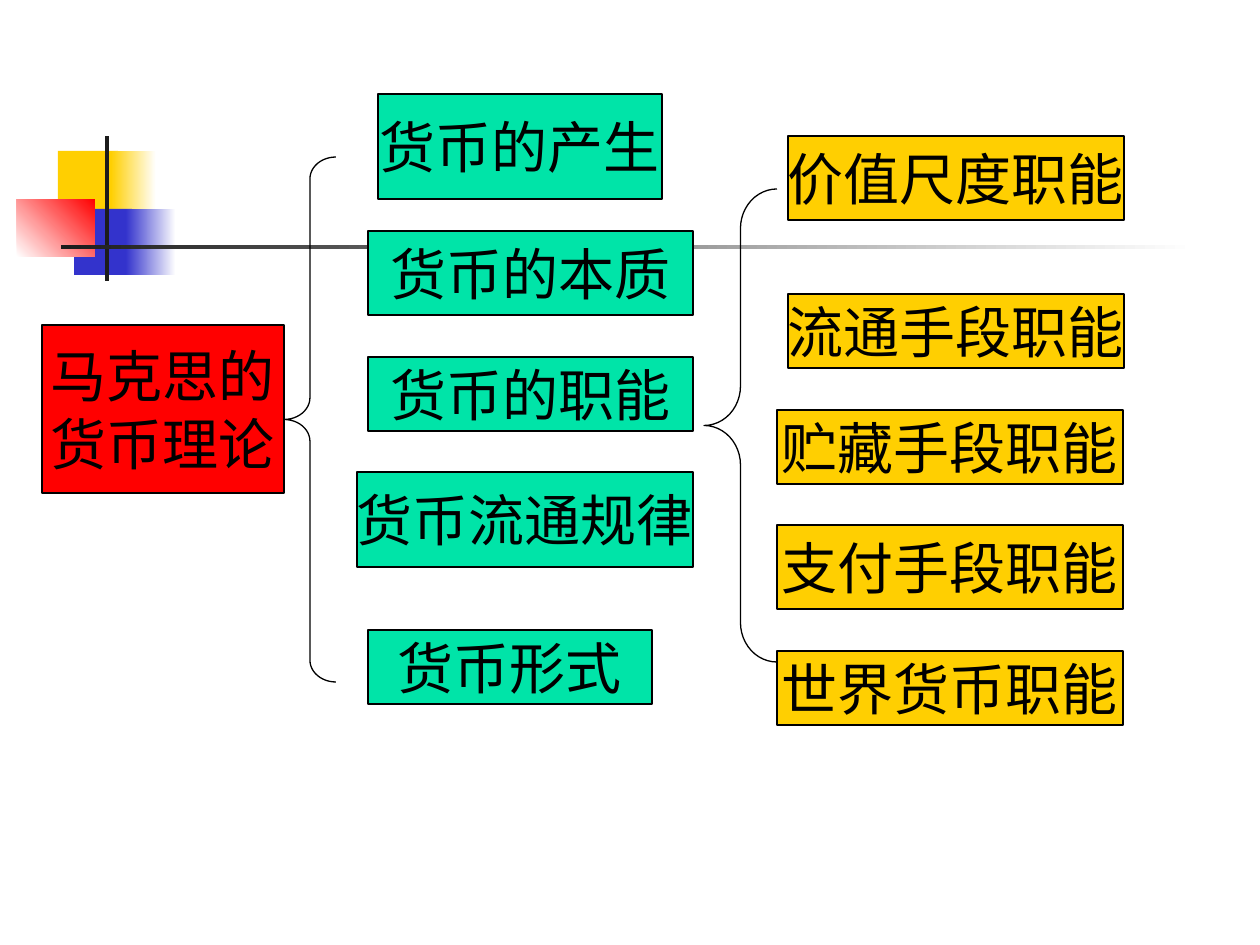
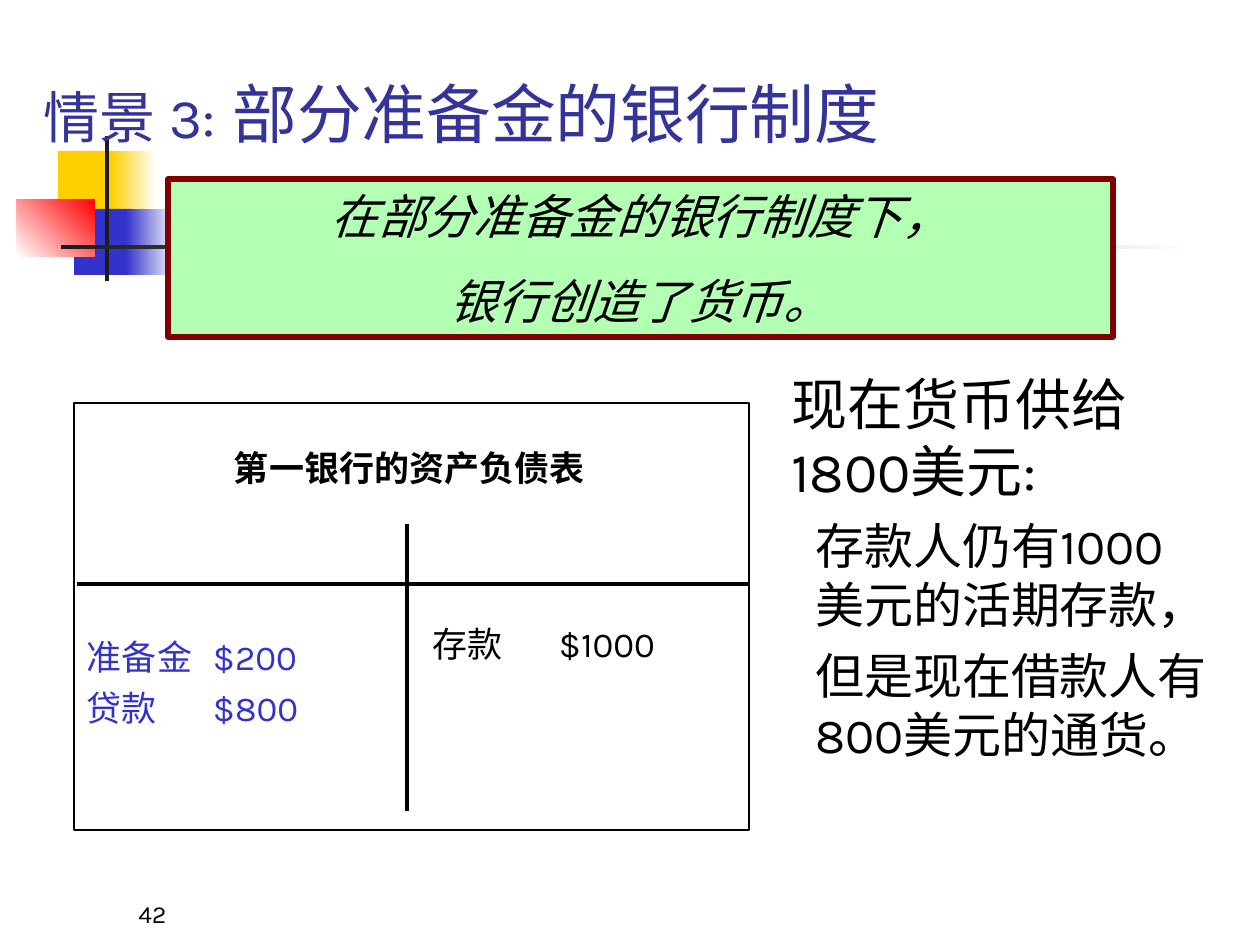
import dataclasses

import pptx
import pptx.dml.color
import pptx.enum.shapes
import pptx.enum.text
import pptx.oxml.ns
import pptx.util
from lxml import etree

SHAPE = pptx.enum.shapes.MSO_SHAPE
ALIGN = pptx.enum.text.PP_ALIGN
ANCHOR = pptx.enum.text.MSO_ANCHOR
PX = 914400 / 126


@dataclasses.dataclass(frozen=True)
class Theme:
    font: str = "Karla"
    cjk_font: str = "Noto Sans CJK SC"
    black: str = "000000"
    white: str = "FFFFFF"
    ink: str = "1C1C1C"
    yellow: str = "FFCF01"
    blue: str = "3333CC"
    red: str = "FF0000"
    green: str = "00E4A8"
    title: str = "333399"
    banner: str = "B3FFB3"
    banner_edge: str = "800000"
    large: float = 32
    title_large: float = 37
    medium: float = 28
    banner_size: float = 27.2
    ledger: float = 20
    footer: float = 14
    thin: float = 0.75
    rule: float = 2.25
    thick: float = 3


THEME = Theme()


@dataclasses.dataclass
class Para:
    spans: list
    color: str = THEME.black
    align: ALIGN = ALIGN.LEFT
    font: str = THEME.font
    before: float = 0
    indent: int = 0
    tab: int = 0
    bold: bool = False
    italic: bool = False


EMBLEM = [
    ((58, 151, 60, 66), [THEME.yellow], 0),
    ((111, 151, 45, 66), [THEME.yellow, THEME.white], 0),
    ((74, 209, 58, 66), [THEME.blue], 0),
    ((126, 209, 50, 66), [THEME.blue, THEME.white], 0),
    ((17, 199, 78, 58), [THEME.white, THEME.red], 45),
    ((105, 136, 4, 145), [THEME.ink], 0),
    ((61, 245, 1134, 4), [THEME.ink, THEME.white], 0),
]

ROOT = [(["马克思的", "货币理论"], (42, 325, 242, 168), THEME.font)]
TOPICS = [
    (["货币的产生"], (378, 94, 284, 105), THEME.font),
    (["货币的本质"], (368, 231, 325, 84), THEME.cjk_font),
    (["货币的职能"], (368, 357, 325, 74), THEME.font),
    (["货币流通规律"], (357, 472, 336, 95), THEME.font),
    (["货币形式"], (368, 630, 284, 74), THEME.font),
]
FUNCTIONS = [
    (["价值尺度职能"], (788, 136, 336, 84), THEME.font),
    (["流通手段职能"], (788, 294, 336, 74), THEME.font),
    (["贮藏手段职能"], (777, 410, 346, 74), THEME.font),
    (["支付手段职能"], (777, 525, 346, 84), THEME.font),
    (["世界货币职能"], (777, 651, 346, 74), THEME.font),
]
BRACES = [((284, 157, 52, 525), 0.42), ((704, 189, 73, 473), 0.54)]

TITLE = Para([("情景 3:\t", THEME.large), ("部分准备金的银行制度", THEME.title_large)],
             THEME.title, tab=224)
BANNER = [
    Para([(line, THEME.banner_size)], align=ALIGN.CENTER, before=16, italic=True)
    for line in ["在部分准备金的银行制度下，", "银行创造了货币。"]
]
SUPPLY = [Para([("现在货币供给1800美元:", THEME.large)], before=8)] + [
    Para([(line, THEME.medium)], before=7, indent=24)
    for line in ["存款人仍有1000美元的活期存款，", "但是现在借款人有800美元的通货。"]
]
ASSETS = [
    Para([(line, THEME.ledger)], THEME.blue, before=5, tab=tab)
    for line, tab in [("准备金\t$200", 130), ("贷款\t$800", 95)]
]
DEPOSITS = [Para([("存款\t$1000", THEME.ledger)], before=12.5, tab=95)]
LEDGER_TITLE = [Para([("第一银行的资产负债表", THEME.ledger)], before=12.5, indent=71, bold=True)]
PAGE_NUMBER = [Para([("42", THEME.footer)])]

LEDGER_PANEL = (74, 403, 675, 427)
LEDGER_RULES = [(77, 584, 748, 584), (407, 524, 407, 811)]
TEXT_AREAS = [
    (PAGE_NUMBER, (126, 872, 262, 63), ANCHOR.BOTTOM, True),
    (SUPPLY, (779, 363, 441, 494), ANCHOR.TOP, True),
    (ASSETS, (87, 619, 315, 126), ANCHOR.MIDDLE, False),
    (DEPOSITS, (433, 607, 266, 73), ANCHOR.MIDDLE, False),
    (LEDGER_TITLE, (163, 433, 562, 68), ANCHOR.MIDDLE, False),
]


def emu(*lengths):
    return [pptx.util.Emu(round(length * PX)) for length in lengths]


def rgb(value):
    return pptx.dml.color.RGBColor.from_string(value)


def write(frame, paragraphs, anchor=ANCHOR.MIDDLE, wrap=True):
    frame.word_wrap = wrap
    frame.auto_size = pptx.enum.text.MSO_AUTO_SIZE.NONE
    frame.vertical_anchor = anchor
    for index, item in enumerate(paragraphs):
        para = frame.add_paragraph() if index else frame.paragraphs[0]
        para.alignment = item.align
        para.space_before = pptx.util.Pt(item.before)
        properties = para._p.get_or_add_pPr()
        properties.set("marL", str(emu(item.indent)[0]))
        properties.set("indent", "0")
        if item.tab:
            tabs = etree.SubElement(properties, pptx.oxml.ns.qn("a:tabLst"))
            etree.SubElement(tabs, pptx.oxml.ns.qn("a:tab"),
                             pos=str(emu(item.tab)[0]), algn="l")
        for text, size in item.spans:
            span = para.add_run()
            span.text = text
            span.font.size = pptx.util.Pt(size)
            span.font.bold = item.bold
            span.font.italic = item.italic
            span.font.color.rgb = rgb(item.color)
            span.font.name = item.font
            etree.SubElement(span.font._element, pptx.oxml.ns.qn("a:ea"), typeface=item.font)


def add_box(page, place, colors=(), edge=None, width=THEME.thin, kind=SHAPE.RECTANGLE, angle=0):
    box = page.shapes.add_shape(kind, *emu(*place))
    box.shadow.inherit = False
    if len(colors) == 2:
        box.fill.gradient()
        box.fill.gradient_angle = angle
        for stop, color in zip(box.fill.gradient_stops, colors):
            stop.color.rgb = rgb(color)
    elif colors:
        box.fill.solid()
        box.fill.fore_color.rgb = rgb(colors[0])
    else:
        box.fill.background()
    if edge:
        box.line.color.rgb = rgb(edge)
        box.line.width = pptx.util.Pt(width)
    else:
        box.line.fill.background()
    return box


def add_page(deck, layout):
    page = deck.slides.add_slide(deck.slide_layouts[layout])
    for place, colors, angle in EMBLEM:
        add_box(page, place, colors, angle=angle)
    return page


def add_nodes(page, nodes, color):
    for lines, place, font in nodes:
        box = add_box(page, place, [color], THEME.black)
        write(box.text_frame,
              [Para([(line, THEME.large)], align=ALIGN.CENTER, font=font) for line in lines],
              wrap=False)


def add_rule(page, ends):
    rule = page.shapes.add_connector(pptx.enum.shapes.MSO_CONNECTOR.STRAIGHT, *emu(*ends))
    rule.line.color.rgb = rgb(THEME.black)
    rule.line.width = pptx.util.Pt(THEME.rule)
    etree.SubElement(rule._element.spPr, pptx.oxml.ns.qn("a:effectLst"))


def build_theory_map(deck):
    page = add_page(deck, 6)
    for nodes, color in [(ROOT, THEME.red), (TOPICS, THEME.green), (FUNCTIONS, THEME.yellow)]:
        add_nodes(page, nodes, color)
    for place, curve in BRACES:
        brace = add_box(page, place, edge=THEME.black, kind=SHAPE.LEFT_BRACE)
        brace.adjustments[0] = curve


def build_reserve_banking(deck):
    page = add_page(deck, 5)
    title = page.shapes.title
    title.left, title.top, title.width, title.height = emu(31, 42, 1187, 116)
    write(title.text_frame, [TITLE], ANCHOR.BOTTOM)
    page.shapes._spTree.append(title._element)

    for paragraphs, place, anchor, padded in TEXT_AREAS:
        frame = page.shapes.add_textbox(*emu(*place)).text_frame
        if not padded:
            frame.margin_left = frame.margin_right = frame.margin_top = frame.margin_bottom = 0
        write(frame, paragraphs, anchor)

    banner = add_box(page, (168, 179, 945, 158), [THEME.banner], THEME.banner_edge, THEME.thick)
    write(banner.text_frame, BANNER)
    for ends in LEDGER_RULES:
        add_rule(page, ends)
    add_box(page, LEDGER_PANEL, edge=THEME.black)


def main():
    deck = pptx.Presentation()
    deck.slide_width, deck.slide_height = emu(1260, 945)
    build_theory_map(deck)
    build_reserve_banking(deck)
    deck.save("out.pptx")


if __name__ == "__main__":
    main()
